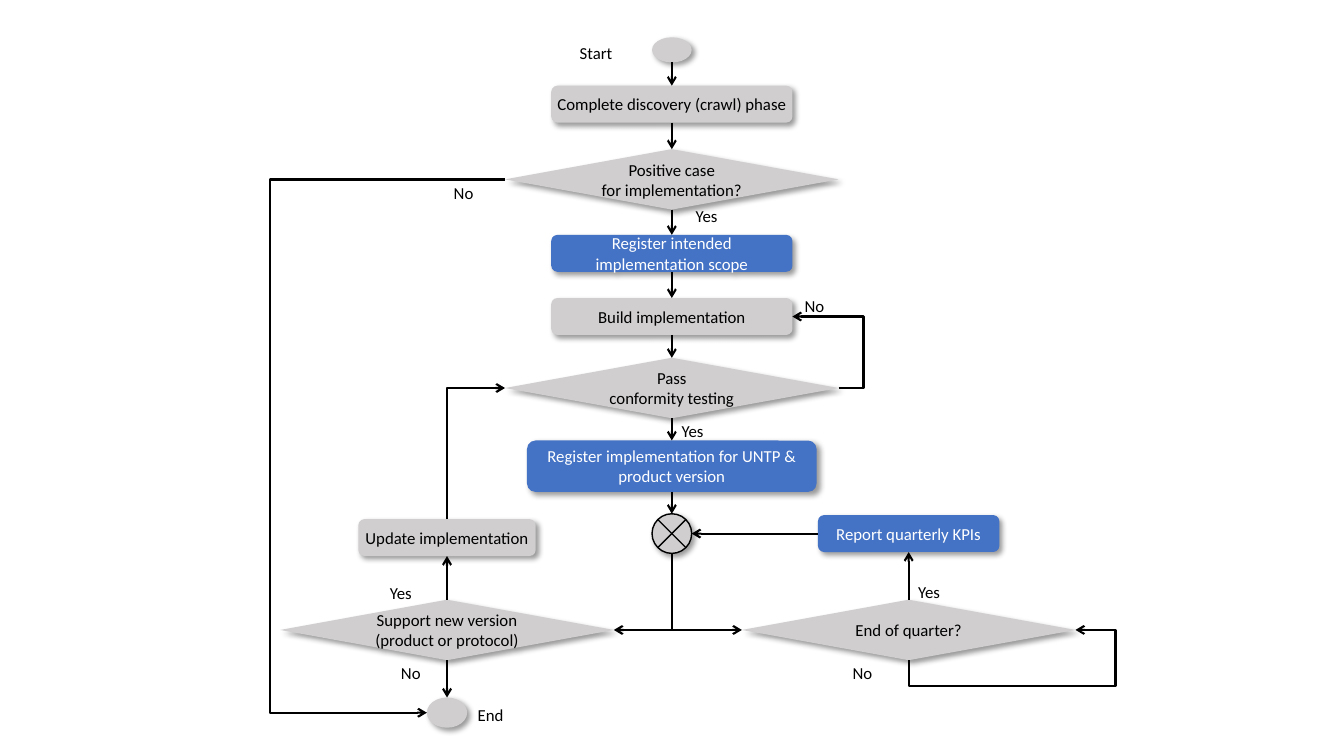
from dataclasses import dataclass
from math import cos, radians, sin

from lxml.etree import SubElement
from pptx import Presentation
from pptx.dml.color import RGBColor
from pptx.enum.shapes import MSO_CONNECTOR, MSO_SHAPE
from pptx.enum.text import MSO_ANCHOR, MSO_AUTO_SIZE, PP_ALIGN
from pptx.oxml.ns import qn
from pptx.util import Emu, Inches, Pt

COLUMNS, ROWS = 80, 45
CELL = Inches(7.5) / ROWS
TOP, LEFT, BOTTOM, RIGHT = range(4)


@dataclass(frozen=True)
class Theme:
    font: str = "Calibri"
    text_size: float = 12
    step: str = "D0CECE"
    registration: str = "4472C4"
    ink: str = "000000"
    light_ink: str = "FFFFFF"
    arrow_width: float = 1.5
    outline_width: float = 1
    padding: float = 0.24
    bar_rows: float = 2.2
    diamond_columns: float = 19.86
    diamond_rows: float = 3.6
    label_rows: float = 1.8


@dataclass(frozen=True)
class Box:
    left: float
    top: float
    columns: float
    rows: float


THEME = Theme()


def cells(count):
    return Emu(round(count * CELL))


def write_text(shape, text, color=THEME.ink, align=PP_ALIGN.CENTER, wrap=True, padding=None):
    frame = shape.text_frame
    frame.word_wrap = wrap
    frame.vertical_anchor = MSO_ANCHOR.MIDDLE
    if padding is not None:
        frame.margin_left = frame.margin_right = cells(padding)
        frame.margin_top = frame.margin_bottom = cells(padding)
    frame.text = text
    for paragraph in frame.paragraphs:
        paragraph.alignment = align
        font = paragraph.runs[0].font
        font.name = THEME.font
        font.size = Pt(THEME.text_size)
        font.color.rgb = RGBColor.from_string(color)


def add_shadow(shape):
    shape.shadow.inherit = False
    effects = shape._element.spPr.find(qn("a:effectLst"))
    shadow = SubElement(effects, qn("a:outerShdw"), blurRad=str(Pt(4)), dist=str(Pt(3)),
                        dir="2700000", algn="tl", rotWithShape="0")
    color = SubElement(shadow, qn("a:srgbClr"), val=THEME.ink)
    SubElement(color, qn("a:alpha"), val="40000")


def add_node(slide, box, kind, top, columns, rows, text="", fill=THEME.step,
             color=THEME.ink, wrap=True, outlined=False):
    left = box.left + (box.columns - columns) / 2
    shape = slide.shapes.add_shape(kind, cells(left), cells(box.top + top),
                                   cells(columns), cells(rows))
    shape.fill.solid()
    shape.fill.fore_color.rgb = RGBColor.from_string(fill)
    if outlined:
        shape.line.color.rgb = RGBColor.from_string(THEME.ink)
        shape.line.width = Pt(THEME.outline_width)
    else:
        shape.line.fill.background()
    add_shadow(shape)
    if text:
        write_text(shape, text, color=color, wrap=wrap, padding=THEME.padding)
    return shape


def add_bar(slide, box, top, columns, text, rows=THEME.bar_rows, registers=False):
    fill = THEME.registration if registers else THEME.step
    color = THEME.light_ink if registers else THEME.ink
    return add_node(slide, box, MSO_SHAPE.ROUNDED_RECTANGLE, top, columns, rows, text, fill, color)


def add_decision(slide, box, top, text):
    return add_node(slide, box, MSO_SHAPE.FLOWCHART_DECISION, top, THEME.diamond_columns,
                    THEME.diamond_rows, text, wrap=False)


def add_labels(slide, box, labels):
    widths = {"Yes": 2.52, "No": 2.4, "Start": 3.18, "End": 2.76}
    for text, left, top in labels:
        label = slide.shapes.add_textbox(cells(box.left + left), cells(box.top + top),
                                         cells(widths[text]), cells(THEME.label_rows))
        write_text(label, text, align=PP_ALIGN.LEFT, wrap=False)
        label.text_frame.auto_size = MSO_AUTO_SIZE.SHAPE_TO_FIT_TEXT


def side_point(shape, side):
    across, down = {TOP: (0.5, 0), LEFT: (0, 0.5), BOTTOM: (0.5, 1), RIGHT: (1, 0.5)}[side]
    return (round(shape.left + across * shape.width), round(shape.top + down * shape.height))


def add_arrow(slide, kind, source, source_side, target, target_side):
    connector = slide.shapes.add_connector(kind, *side_point(source, source_side),
                                           *side_point(target, target_side))
    connector.line.color.rgb = RGBColor.from_string(THEME.ink)
    connector.line.width = Pt(THEME.arrow_width)
    properties = connector._element.spPr
    SubElement(properties.get_or_add_ln(), qn("a:tailEnd"), type="arrow")
    SubElement(properties, qn("a:effectLst"))
    return connector


def add_straight(slide, source, source_side, target, target_side):
    connector = add_arrow(slide, MSO_CONNECTOR.STRAIGHT, source, source_side, target, target_side)
    round_kinds = (MSO_SHAPE.OVAL, MSO_SHAPE.FLOWCHART_SUMMING_JUNCTION)
    if source.auto_shape_type not in round_kinds:
        connector.begin_connect(source, source_side)
    if target.auto_shape_type not in round_kinds:
        connector.end_connect(target, target_side)


def add_elbow(slide, source, source_side, target, target_side, preset, rotation=0, bends=()):
    connector = add_arrow(slide, MSO_CONNECTOR.ELBOW, source, source_side, target, target_side)
    begin_x, begin_y = side_point(source, source_side)
    end_x, end_y = side_point(target, target_side)
    across, down = end_x - begin_x, end_y - begin_y
    cosine, sine = round(cos(radians(rotation))), round(sin(radians(rotation)))
    run, rise = across * cosine + down * sine, down * cosine - across * sine
    connector.width, connector.height = Emu(abs(run)), Emu(abs(rise))
    connector.left = Emu((begin_x + end_x - abs(run)) // 2)
    connector.top = Emu((begin_y + end_y - abs(rise)) // 2)
    properties = connector._element.spPr
    properties.xfrm.set("rot", str(rotation * 60000))
    properties.xfrm.set("flipH", str(int(run < 0)))
    properties.xfrm.set("flipV", str(int(rise < 0)))
    geometry = properties.find(qn("a:prstGeom"))
    geometry.set("prst", preset)
    guides = geometry.find(qn("a:avLst"))
    for number, bend in enumerate(bends, 1):
        SubElement(guides, qn("a:gd"), name=f"adj{number}", fmla=f"val {round(bend * 100000)}")


def add_build_flow(slide, box):
    start = add_node(slide, box, MSO_SHAPE.OVAL, 0, 2.36, 1.5)
    discovery = add_bar(slide, box, 2.88, 14.36, "Complete discovery (crawl) phase")
    case = add_decision(slide, box, 6.66, "Positive case\nfor implementation?")
    scope = add_bar(slide, box, 11.76, 14.36, "Register intended implementation scope",
                    registers=True)
    build = add_bar(slide, box, 15.52, 14.36, "Build implementation")
    testing = add_decision(slide, box, 19.08, "Pass\nconformity testing")
    version = add_bar(slide, box, 24, 17.24, "Register implementation for UNTP & product version",
                      rows=3.06, registers=True)
    junction = add_node(slide, box, MSO_SHAPE.FLOWCHART_SUMMING_JUNCTION, 28.36, 2.36, 2.36,
                        outlined=True)
    steps = [start, discovery, case, scope, build, testing, version, junction]
    for source, target in zip(steps, steps[1:]):
        add_straight(slide, source, BOTTOM, target, TOP)
    add_elbow(slide, testing, RIGHT, build, RIGHT, "bentConnector3", bends=[-0.54])
    add_labels(slide, box, [("Start", 3.86, 0), ("No", -3.64, 8.34), ("Yes", 10.76, 9.72),
                            ("No", 17.24, 15.06), ("Yes", 9.92, 22.5)])
    return case, testing, junction


def add_version_branch(slide, box, case, testing, junction):
    update = add_bar(slide, box, 0, 10.56, "Update implementation")
    support = add_decision(slide, box, 4.8, "Support new version\n(product or protocol)")
    end = add_node(slide, box, MSO_SHAPE.OVAL, 10.62, 2.4, 1.8)
    add_straight(slide, support, TOP, update, BOTTOM)
    add_straight(slide, support, BOTTOM, end, TOP)
    add_elbow(slide, update, TOP, testing, LEFT, "bentConnector2", 90)
    add_elbow(slide, junction, BOTTOM, support, RIGHT, "bentConnector2", 90)
    add_elbow(slide, case, LEFT, end, LEFT, "bentConnector3", 180, [3.01])
    add_labels(slide, box, [("Yes", 5.94, 3.48), ("No", 6.6, 8.22), ("End", 11.16, 10.74)])


def add_quarter_branch(slide, box, junction):
    report = add_bar(slide, box, 0, 10.8, "Report quarterly KPIs", registers=True)
    quarter = add_decision(slide, box, 5.04, "End of quarter?")
    add_straight(slide, quarter, TOP, report, BOTTOM)
    add_straight(slide, report, LEFT, junction, RIGHT)
    add_elbow(slide, junction, BOTTOM, quarter, LEFT, "bentConnector2", 270)
    add_elbow(slide, quarter, BOTTOM, quarter, RIGHT, "bentConnector4", 90, [-0.84, 1.24])
    add_labels(slide, box, [("Yes", 9.9, 3.66), ("No", 6, 8.46)])


def main():
    presentation = Presentation()
    presentation.slide_width = cells(COLUMNS)
    presentation.slide_height = cells(ROWS)
    slide = presentation.slides.add_slide(presentation.slide_layouts[6])
    case, testing, junction = add_build_flow(slide, Box(30.06, 2.22, 19.86, 30.74))
    add_version_branch(slide, Box(16.68, 30.9, 19.86, 12.42), case, testing, junction)
    add_quarter_branch(slide, Box(44.16, 30.66, 19.86, 10.26), junction)
    presentation.save("out.pptx")


if __name__ == "__main__":
    main()
